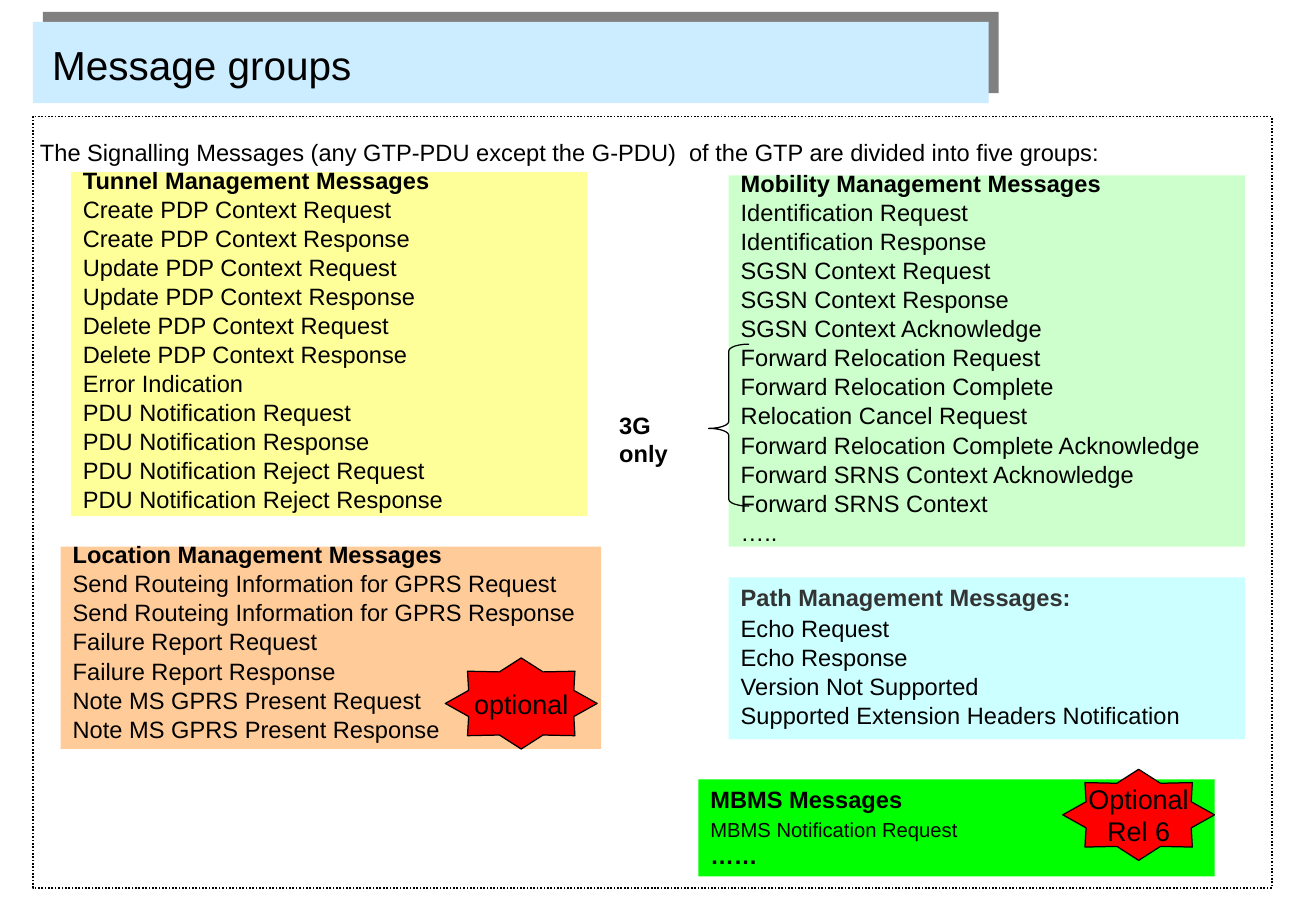
from lxml import etree
from pptx import Presentation
from pptx.dml.color import RGBColor as Rgb
from pptx.enum.dml import MSO_LINE as Dash
from pptx.enum.shapes import MSO_SHAPE as Kind
from pptx.enum.text import MSO_ANCHOR as Anchor, MSO_AUTO_SIZE as Fit, PP_ALIGN as Align
from pptx.oxml.ns import qn
from pptx.util import Pt

# Content
TITLE = "Message groups"
INTRO = ("The Signalling Messages (any GTP-PDU except the G-PDU)  of the GTP "
         "are divided into five groups:")
SCOPE = "3G only"
PATH = ["Path Management Messages:", "Echo Request", "Echo Response",
        "Version Not Supported", "Supported Extension Headers Notification"]
PLACE = ["Location Management Messages",
         "Send Routeing Information for GPRS Request",
         "Send Routeing Information for GPRS Response",
         "Failure Report Request", "Failure Report Response",
         "Note MS GPRS Present Request", "Note MS GPRS Present Response"]
TUNNEL = ["Tunnel Management Messages",
          "Create PDP Context Request", "Create PDP Context Response",
          "Update PDP Context Request", "Update PDP Context Response",
          "Delete PDP Context Request", "Delete PDP Context Response",
          "Error Indication",
          "PDU Notification Request", "PDU Notification Response",
          "PDU Notification Reject Request", "PDU Notification Reject Response"]
MOBILE = ["Mobility Management Messages",
          "Identification Request", "Identification Response",
          "SGSN Context Request", "SGSN Context Response",
          "SGSN Context Acknowledge",
          "Forward Relocation Request", "Forward Relocation Complete",
          "Relocation Cancel Request",
          "Forward Relocation Complete Acknowledge",
          "Forward SRNS Context Acknowledge", "Forward SRNS Context", "….."]
CAST = ["MBMS Messages", "MBMS Notification Request", "……"]

# Theme
THEME = dict(
    font="Arial", ink="000000", soft="333333", shade="808080", band="CCECFF",
    path="CCFFFF", place="FFCC99", tunnel="FFFF99", mobile="CCFFCC",
    cast="00FF00", star="FF0000",
    title=24, note=16, body=14, small=12)
TIGHT = dict(ls=0.5, sb=8.8)
WIDE = 306

# Boxes: left, top, width, height, fill, lines, heading format, line format
GROUPS = [
    (432, 342.2, WIDE, 96, "path", PATH, dict(color="soft"), TIGHT),
    (36, 324, 320.4, 120, "place", PLACE, TIGHT, TIGHT),
    (42, 102, WIDE, 204, "tunnel", TUNNEL, TIGHT, TIGHT),
    (432, 104, WIDE, 220, "mobile", MOBILE, TIGHT, TIGHT),
]
STARS = [(630, 456, ["Optional", "Rel 6"]), (264, 390, ["optional"])]

deck = Presentation()
deck.slide_width, deck.slide_height = Pt(780.13), Pt(540)
slide = deck.slides.add_slide(deck.slide_layouts[6])


def paint(name):
    return Rgb.from_string(THEME[name])


def shape(kind, left, top, width, height, fill=None, line=None):
    item = slide.shapes.add_shape(kind, Pt(left), Pt(top), Pt(width), Pt(height))
    item.shadow.inherit = False
    if fill:
        item.fill.solid()
        item.fill.fore_color.rgb = paint(fill)
    else:
        item.fill.background()
    if line:
        item.line.color.rgb = paint("ink")
        item.line.width = Pt(line)
    else:
        item.line.fill.background()
    return item


def label(left, top, width, height, fit=Fit.SHAPE_TO_FIT_TEXT):
    item = slide.shapes.add_textbox(Pt(left), Pt(top), Pt(width), Pt(height))
    item.text_frame.auto_size = fit
    return item


def write(item, text, size="body", color="ink", bold=False, align=Align.LEFT,
          anchor=Anchor.TOP, wrap=True, ls=None, sb=0):
    """Add one paragraph to the shape's text."""
    frame = item.text_frame
    frame.word_wrap, frame.vertical_anchor = wrap, anchor
    para = frame.add_paragraph() if frame.text else frame.paragraphs[0]
    para.alignment, para.line_spacing, para.space_before = align, ls, Pt(sb)
    run = para.add_run()
    run.text = text
    font = run.font
    font.name, font.size, font.bold = THEME["font"], Pt(THEME[size]), bold
    font.color.rgb = paint(color)


# Title band with a hard shadow, and the dotted frame
band = shape(Kind.RECTANGLE, 19.5, 13, 566.6, 48.2, "band")
glow = band._element.spPr.find(qn("a:effectLst"))
cast = etree.SubElement(glow, qn("a:outerShdw"), blurRad="0",
                        dist=str(Pt(8.5)), dir=str(315 * 60000),
                        algn="ctr", rotWithShape="0")
etree.SubElement(cast, qn("a:srgbClr"), val=THEME["shade"])
edge = shape(Kind.RECTANGLE, 19.5, 69.1, 734.4, 457.2, line=1)
edge.line.dash_style = Dash.ROUND_DOT
write(label(23.8, 20.2, 563.8, 40.3, Fit.NONE), TITLE, size="title")
write(label(16.6, 78, 643, 24.5), INTRO, wrap=False)

# Message groups
for *area, fill, lines, head, rest in GROUPS:
    box = shape(Kind.RECTANGLE, *area, fill)
    write(box, lines[0], bold=True, **head)
    for text in lines[1:]:
        write(box, text, **rest)

# Broadcast group
box = shape(Kind.RECTANGLE, 414, 462, WIDE, 57.6, "cast")
write(box, CAST[0], bold=True)
write(box, CAST[1], size="small", sb=2)
write(box, CAST[2], bold=True)

# Star marks
for left, top, lines in STARS:
    star = shape(Kind.STAR_8_POINT, left, top, 90, 54, "star", 0.75)
    for text in lines:
        write(star, text, size="note", align=Align.CENTER,
              anchor=Anchor.MIDDLE, wrap=False)

# Brace over the 3G messages
brace = shape(Kind.LEFT_BRACE, 420, 204, 24, 96, line=0.75)
brace.adjustments[0], brace.adjustments[1] = 0.17, 0.52
write(label(360, 240, 65.5, 24.5), SCOPE, bold=True, wrap=False)

deck.save("out.pptx")
